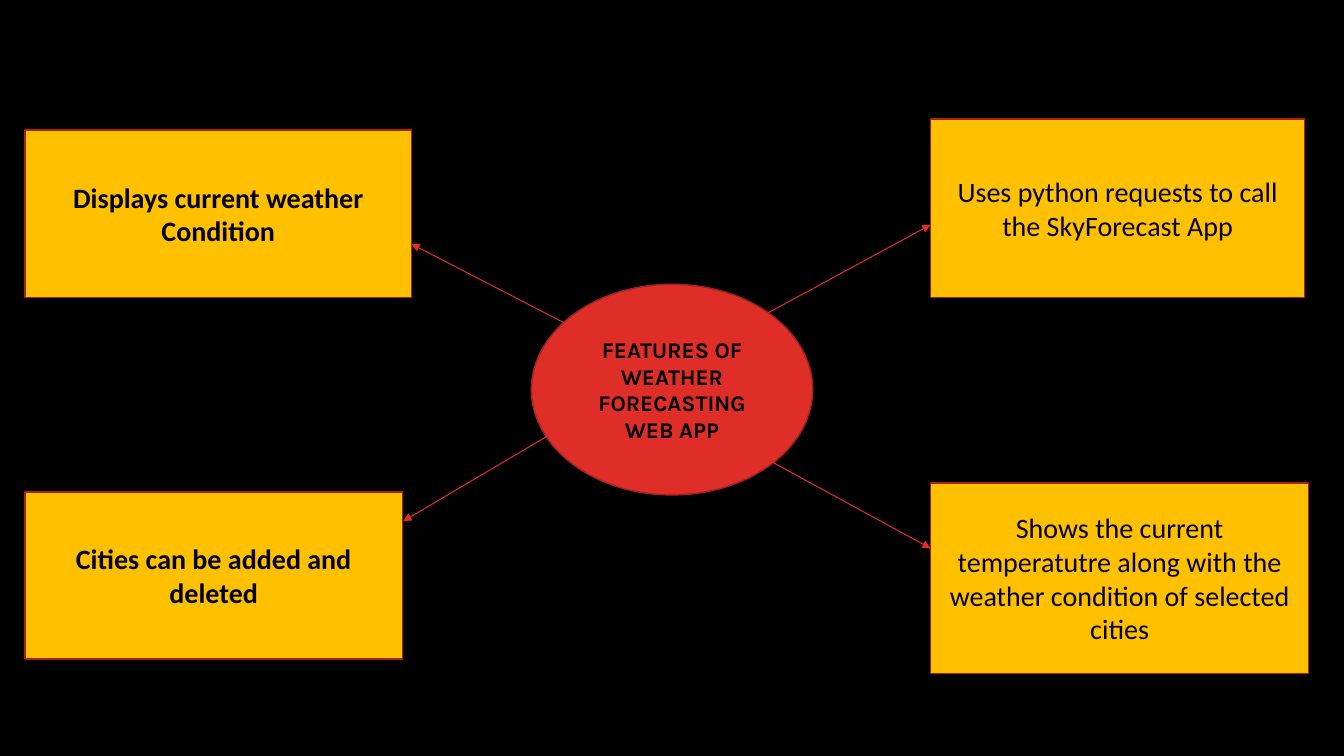
from lxml import etree
from pptx import Presentation
from pptx import util as u
from pptx.dml.color import RGBColor
from pptx.enum import shapes, text
from pptx.oxml.ns import qn

BLACK, RED, DARK_RED, AMBER = "000000", "DF2E28", "A5221E", "FFC000"
HUB = ("FEATURES OF WEATHER FORECASTING WEB APP", (5.27, 2.82, 2.79, 2.09))
FEATURES = [
    ("Uses python requests to call the SkyForecast App",
     (9.23, 1.18, 3.71, 1.77), False, (7.57, 3.13), (9.23, 2.23)),
    ("Shows the current temperatutre along with the weather condition of selected cities",
     (9.23, 4.79, 3.75, 1.89), False, (7.67, 4.59), (9.23, 5.44)),
    ("Displays current weather Condition",
     (0.25, 1.29, 3.83, 1.66), True, (5.61, 3.21), (4.08, 2.42)),
    ("Cities can be added and deleted",
     (0.25, 4.88, 3.74, 1.66), True, (5.44, 4.32), (4, 5.17)),
]


def paint(fill, color):
    """Make a fill solid in the given hex colour."""
    fill.solid()
    fill.fore_color.rgb = RGBColor.from_string(color)


def add_node(s, kind, box, label, color, **font):
    """Add a filled shape with a centred label."""
    sp = s.shapes.add_shape(kind, *map(u.Inches, box))
    sp.shadow.inherit = False
    paint(sp.fill, color)
    paint(sp.line.fill, DARK_RED)
    sp.line.width = u.Pt(1)
    tf = sp.text_frame
    tf.word_wrap = True
    tf.vertical_anchor = text.MSO_ANCHOR.MIDDLE
    p = tf.paragraphs[0]
    p.alignment = text.PP_ALIGN.CENTER
    r = p.add_run()
    r.text = label
    for name, value in font.items():
        setattr(r.font, name, value)
    paint(r.font.fill, BLACK)


def add_arrow(s, start, end):
    """Add a thin red arrow from start to end."""
    sp = s.shapes.add_connector(shapes.MSO_CONNECTOR.STRAIGHT, *map(u.Inches, start + end))
    paint(sp.line.fill, RED)
    sp.line.width = u.Pt(0.75)
    etree.SubElement(sp.line._get_or_add_ln(), qn("a:tailEnd"), type="triangle")
    etree.SubElement(sp._element.spPr, qn("a:effectLst"))


def main():
    """Build the features slide and save it."""
    prs = Presentation()
    prs.slide_width, prs.slide_height = u.Inches(13.33), u.Inches(7.5)
    s = prs.slides.add_slide(prs.slide_layouts[6])
    paint(s.background.fill, BLACK)
    label, box = HUB
    add_node(s, shapes.MSO_SHAPE.OVAL, box, label, RED,
             name="Karla", size=u.Pt(16), bold=True)
    for label, box, bold, start, end in FEATURES:
        add_arrow(s, start, end)
        add_node(s, shapes.MSO_SHAPE.RECTANGLE, box, label, AMBER,
                 name="Calibri", size=u.Pt(20), bold=bold)
    prs.save("out.pptx")


main()
